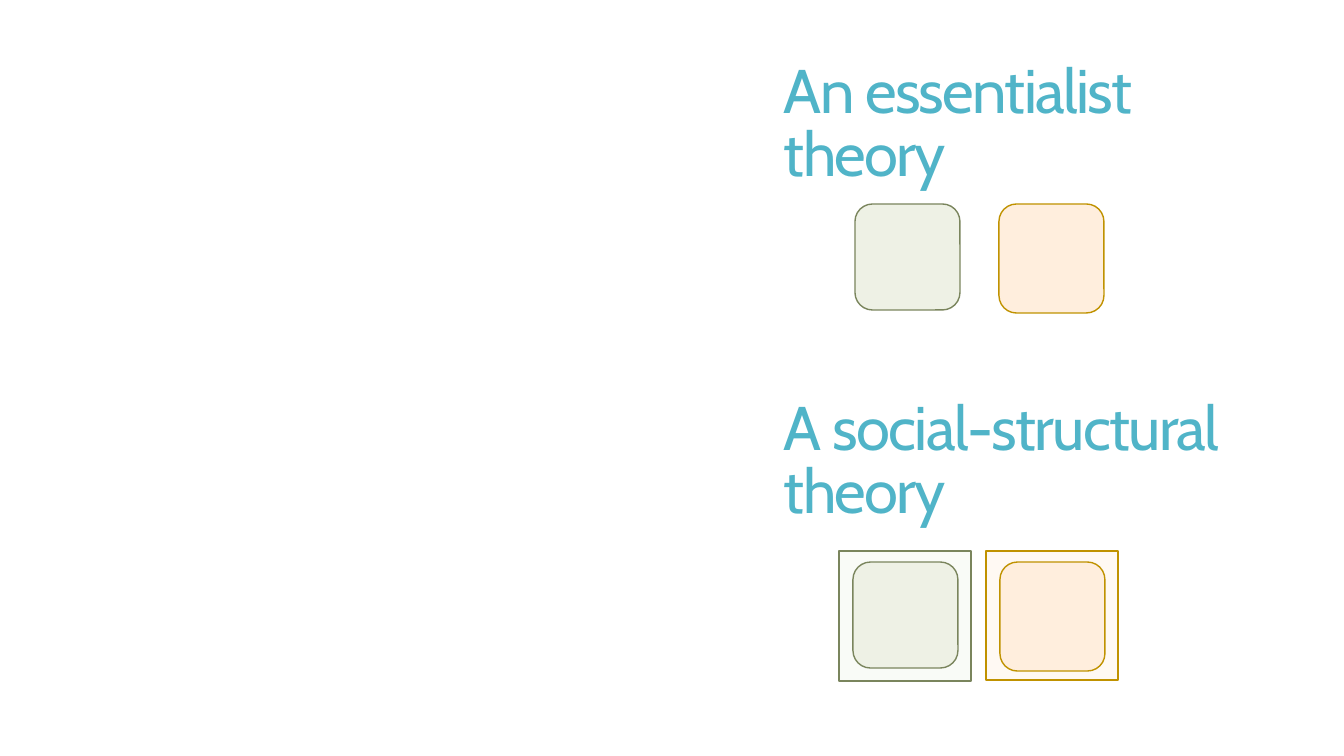
import pptx
import pptx.dml.color
import pptx.enum.shapes
import pptx.enum.text
import pptx.util

# Content: heading with its top edge in px
HEADINGS = [
    ("An essentialist\vtheory", 7),
    ("A social-structural theory", 344),
]
# Tiles: kind, colour pair, left, top, width, height in px, back to front
TILES = [
    ("rounded", "peach", 999, 204, 105, 109),
    ("rounded", "green", 855, 204, 105, 106),
    ("square", "peach frame", 986, 551, 132, 129),
    ("square", "green frame", 839, 551, 132, 130),
    ("rounded", "peach", 1000, 562, 105, 109),
    ("rounded", "green", 853, 562, 105, 106),
]
HEADING_LEFT, HEADING_WIDTH, HEADING_HEIGHT = 774, 498, 238

THEME = {
    "font": "Cabin",
    "heading": "50B4C8",
    "heading size": 44,
    "line width": 1,
    # fill, outline
    "peach": ("FFEEDD", "C09200"),
    "green": ("EEF1E5", "7A855D"),
    "peach frame": ("FFF9F3", "C09200"),
    "green frame": ("F9FBF7", "7A855D"),
}
KINDS = {
    "rounded": pptx.enum.shapes.MSO_SHAPE.ROUNDED_RECTANGLE,
    "square": pptx.enum.shapes.MSO_SHAPE.RECTANGLE,
}
EMU_PER_PX = 914400 / 100.8


def px(*lengths):
    return [pptx.util.Emu(round(length * EMU_PER_PX)) for length in lengths]


def colour(code):
    return pptx.dml.color.RGBColor.from_string(code)


def add_text(page, text, *, place, size, ink, line_spacing, tracking):
    box = page.shapes.add_textbox(*px(*place))
    frame = box.text_frame
    frame.word_wrap = True
    frame.vertical_anchor = pptx.enum.text.MSO_ANCHOR.MIDDLE
    para = frame.paragraphs[0]
    para.text = text
    para.line_spacing = line_spacing
    for span in para.runs:
        span.font.name = THEME["font"]
        span.font.size = pptx.util.Pt(size)
        span.font.color.rgb = colour(ink)
        # Letter spacing is stored in hundredths of a point
        span.font._element.set("spc", str(round(tracking * 100)))


def add_tile(page, kind, palette, *place):
    fill, outline = THEME[palette]
    tile = page.shapes.add_shape(KINDS[kind], *px(*place))
    tile.shadow.inherit = False
    tile.fill.solid()
    tile.fill.fore_color.rgb = colour(fill)
    tile.line.color.rgb = colour(outline)
    tile.line.width = pptx.util.Pt(THEME["line width"])


def main():
    deck = pptx.Presentation()
    deck.slide_width, deck.slide_height = px(1344, 756)
    page = deck.slides.add_slide(deck.slide_layouts[6])

    # Headings
    for text, top in HEADINGS:
        add_text(page, text, place=(HEADING_LEFT, top, HEADING_WIDTH, HEADING_HEIGHT),
                 size=THEME["heading size"], ink=THEME["heading"],
                 line_spacing=0.85, tracking=-1.2)

    # Tiles and their frames
    for tile in TILES:
        add_tile(page, *tile)

    deck.save("out.pptx")


if __name__ == "__main__":
    main()
